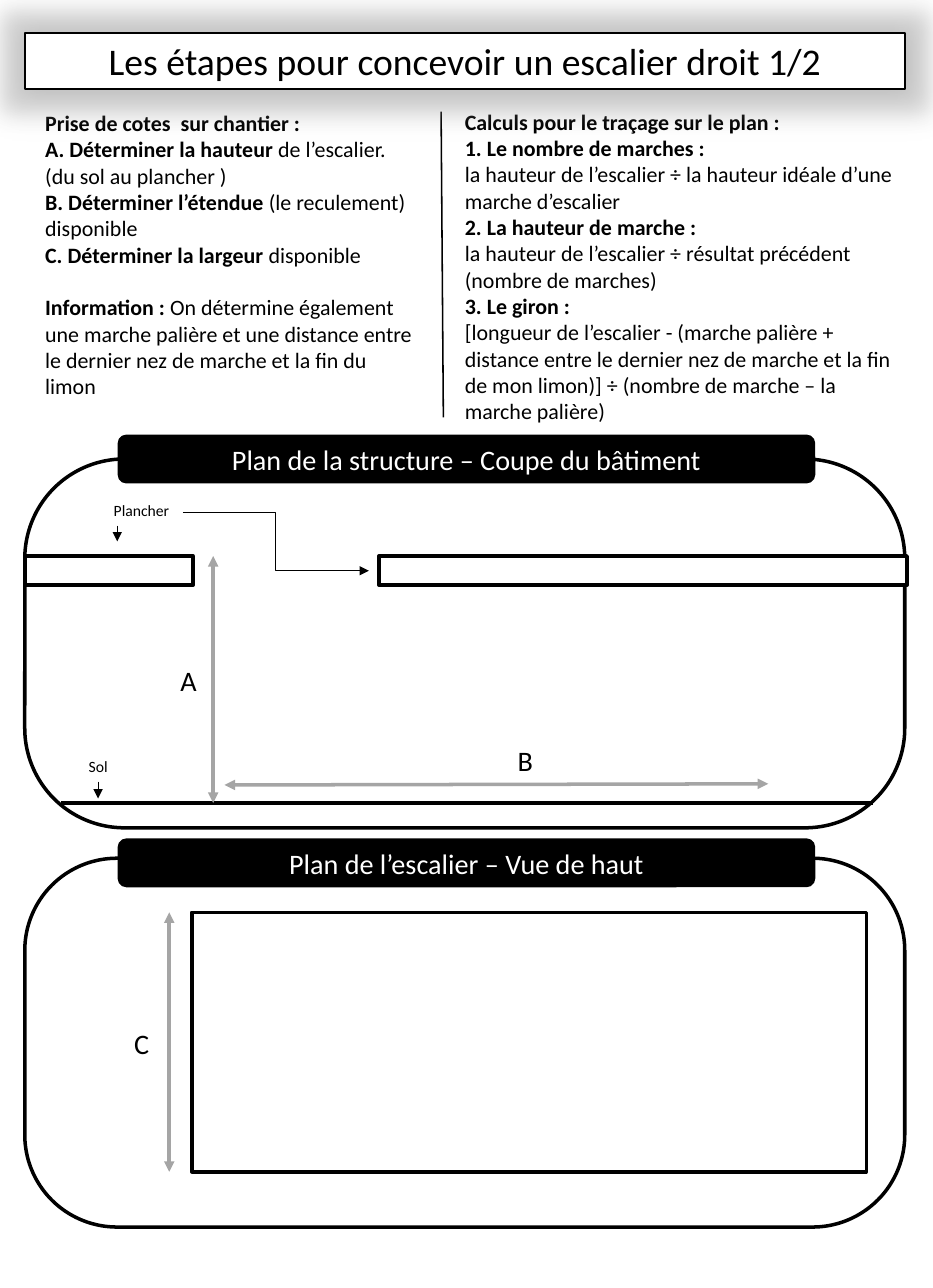
from dataclasses import dataclass

from lxml import etree
from pptx import Presentation
from pptx import util as u
from pptx.dml.color import RGBColor
from pptx.enum import shapes, text
from pptx.oxml import ns

COLORS = {"black": "000000", "white": "FFFFFF", "grey": "A5A5A5"}
FONT = "Calibri"

# Grid: square cells of a tenth of an inch
CELL = u.Inches(0.1)
COLS, ROWS = 82.7, 114.2
MARGIN, WIDTH = 2.2, 78
FLOOR_TOP, FLOOR_H, GROUND = 49.3, 2.6, 71.2
STAIR_TOP, STAIR_H = 80.9, 23


@dataclass
class Box:
    x: float
    y: float
    w: float
    h: float
    fill: str = "white"
    weight: float = 2.25
    radius: float | None = None
    label: str = ""


@dataclass
class Label:
    words: str
    x: float
    y: float
    w: float
    h: float
    size: int = 18
    align: text.PP_ALIGN = text.PP_ALIGN.LEFT


@dataclass
class Line:
    x1: float
    y1: float
    x2: float
    y2: float
    color: str = "black"
    weight: float = 2.25
    ends: tuple[str, ...] = ()
    kind: shapes.MSO_CONNECTOR = shapes.MSO_CONNECTOR.STRAIGHT


@dataclass
class Steps:
    x: float
    y: float
    w: float
    h: float
    lines: list[tuple[str, str]]  # bold part, regular part


BOTH = ("headEnd", "tailEnd")

STEPS = [
    Steps(3, 9.2, 35.2, 26.9, [
        ("Prise de cotes  sur chantier :", ""),
        ("A. Déterminer la hauteur ", "de l’escalier. (du sol au plancher )"),
        ("B. Déterminer l’étendue ", "(le reculement) disponible"),
        ("C. Déterminer la largeur ", "disponible"),
        ("Information : ", "On détermine également une marche palière et une distance "
                           "entre le dernier nez de marche et la fin du limon"),
    ]),
    Steps(40.2, 9.1, 40.6, 29.3, [
        ("Calculs pour le traçage sur le plan :", ""),
        ("1. Le nombre de marches :", ""),
        ("", "la hauteur de l’escalier ÷ la hauteur idéale d’une marche d’escalier"),
        ("2. La hauteur de marche :", ""),
        ("", "la hauteur de l’escalier ÷ résultat précédent (nombre de marches)"),
        ("3. Le giron :", ""),
        ("", "[longueur de l’escalier - (marche palière + distance entre le dernier nez de "
             "marche et la fin de mon limon)] ÷ (nombre de marche – la marche palière)"),
    ]),
]

BOXES = [
    # Panels and their headings
    Box(MARGIN, 40.7, WIDTH, 32.7, radius=0.27),
    Box(MARGIN, 76.1, WIDTH, 32.7, radius=0.25),
    Box(10.5, 38.6, 61.7, 4.2, "black", 1, 0.17, "Plan de la structure – Coupe du bâtiment"),
    Box(10.5, 74.4, 61.7, 4.2, "black", 1, 0.17, "Plan de l’escalier – Vue de haut"),
    # Stairwell, then the two floor slabs
    Box(17, STAIR_TOP, 59.8, STAIR_H),
    Box(33.6, FLOOR_TOP, 46.8, FLOOR_H),
    Box(MARGIN, FLOOR_TOP, 14.9, FLOOR_H),
]

LINES = [
    Line(5.4, GROUND, 77.4, GROUND),
    # Dimensions A, B and C
    Line(18.9, FLOOR_TOP, 18.9, GROUND, "grey", ends=BOTH),
    Line(19.9, 69.6, 68.1, 69.5, "grey", ends=BOTH),
    Line(15, STAIR_TOP, 15, STAIR_TOP + STAIR_H, "grey", ends=BOTH),
    # Pointers
    Line(10.4, 46.6, 10.4, 48, weight=0.5, ends=("tailEnd",)),
    Line(16.2, 45.4, 32.7, 50.6, weight=0.5, ends=("tailEnd",),
         kind=shapes.MSO_CONNECTOR.ELBOW),
    Line(8.7, 69.3, 8.7, 70.8, weight=0.5, ends=("tailEnd",)),
    # Divider between the two lists
    Line(39.1, 9.9, 39.3, 37, weight=1),
]

LABELS = [
    Label("A", 15, 58.3, 3.9, 4),
    Label("B", 44.9, 65.4, 3.9, 4),
    Label("C", 10.9, 90.5, 3.9, 4),
    Label("Sol", 6.2, 66.6, 5, 2.7, 10, text.PP_ALIGN.CENTER),
    Label("Plancher", 9.1, 43.9, 22.8, 2.7, 10),
]


def cells(*counts: float) -> list[int]:
    return [round(n * CELL) for n in counts]


def rgb(name: str) -> RGBColor:
    return RGBColor.from_string(COLORS[name])


def place(sp, x: float, y: float, w: float, h: float) -> None:
    for name, value in zip(("left", "top", "width", "height"), cells(x, y, w, h)):
        setattr(sp, name, value)


def paint(sp, fill: str, weight: float) -> None:
    sp.fill.solid()
    sp.fill.fore_color.rgb = rgb(fill)
    sp.line.color.rgb = rgb("black")
    sp.line.width = u.Pt(weight)


def add_run(p, words: str, size: int, bold: bool = False, color: str = "black") -> None:
    r = p.add_run()
    r.text = words
    for name, value in {"name": FONT, "size": u.Pt(size), "bold": bold}.items():
        setattr(r.font, name, value)
    r.font.color.rgb = rgb(color)


def set_frame(tf, anchor: text.MSO_ANCHOR) -> None:
    frame_format = {"word_wrap": True, "auto_size": text.MSO_AUTO_SIZE.NONE,
                    "vertical_anchor": anchor}
    for name, value in frame_format.items():
        setattr(tf, name, value)


def draw_steps(sp, steps: Steps) -> None:
    place(sp, steps.x, steps.y, steps.w, steps.h)
    tf = sp.text_frame
    set_frame(tf, text.MSO_ANCHOR.TOP)
    for i, (bold, regular) in enumerate(steps.lines):
        p = tf.add_paragraph() if i else tf.paragraphs[0]
        p.space_before = u.Pt(17 if bold.startswith("Information") else 0)
        pPr = p._p.get_or_add_pPr()
        pPr.set("marL", "0")
        pPr.set("indent", "0")
        etree.SubElement(pPr, ns.qn("a:buNone"))
        for words, is_bold in ((bold, True), (regular, False)):
            if words:
                add_run(p, words, 14, is_bold)


def draw_box(slide, box: Box) -> None:
    kind = shapes.MSO_SHAPE.ROUNDED_RECTANGLE if box.radius else shapes.MSO_SHAPE.RECTANGLE
    sp = slide.shapes.add_shape(kind, *cells(box.x, box.y, box.w, box.h))
    sp.shadow.inherit = False
    paint(sp, box.fill, box.weight)
    if box.radius:
        sp.adjustments[0] = box.radius
    if box.label:
        set_frame(sp.text_frame, text.MSO_ANCHOR.MIDDLE)
        p = sp.text_frame.paragraphs[0]
        p.alignment = text.PP_ALIGN.CENTER
        add_run(p, box.label, 18, color="white")


def draw_line(slide, line: Line) -> None:
    cx = slide.shapes.add_connector(line.kind, *cells(line.x1, line.y1, line.x2, line.y2))
    cx.line.color.rgb = rgb(line.color)
    cx.line.width = u.Pt(line.weight)
    for end in line.ends:
        etree.SubElement(cx.line._get_or_add_ln(), ns.qn(f"a:{end}"), type="triangle")
    etree.SubElement(cx._element.spPr, ns.qn("a:effectLst"))


def draw_label(slide, label: Label) -> None:
    sp = slide.shapes.add_textbox(*cells(label.x, label.y, label.w, label.h))
    set_frame(sp.text_frame, text.MSO_ANCHOR.TOP)
    p = sp.text_frame.paragraphs[0]
    p.alignment = label.align
    add_run(p, label.words, label.size)


def draw_title(slide, words: str) -> None:
    sp = slide.shapes.title
    place(sp, MARGIN, 2.9, WIDTH, 5)
    paint(sp, "white", 1)
    set_frame(sp.text_frame, text.MSO_ANCHOR.MIDDLE)
    add_run(sp.text_frame.paragraphs[0], words, 24)
    # Wide grey glow with a tighter shadow inside it
    effects = etree.SubElement(sp._element.spPr, ns.qn("a:effectLst"))
    glow = etree.SubElement(effects, ns.qn("a:glow"), rad=str(u.Inches(0.4)))
    shadow = etree.SubElement(effects, ns.qn("a:outerShdw"), blurRad=str(u.Inches(0.2)))
    for effect, color, alpha in ((glow, "grey", 40), (shadow, "black", 20)):
        clr = etree.SubElement(effect, ns.qn("a:srgbClr"), val=COLORS[color])
        etree.SubElement(clr, ns.qn("a:alpha"), val=str(alpha * 1000))
    slide.shapes._spTree.append(sp._element)  # in front of the lists


def main() -> None:
    prs = Presentation()
    prs.slide_width, prs.slide_height = cells(COLS, ROWS)
    slide = prs.slides.add_slide(prs.slide_layouts[3])
    for sp, steps in zip(list(slide.placeholders)[1:], STEPS):
        draw_steps(sp, steps)
    for draw, items in ((draw_box, BOXES), (draw_line, LINES), (draw_label, LABELS)):
        for item in items:
            draw(slide, item)
    draw_title(slide, "Les étapes pour concevoir un escalier droit 1/2")
    prs.save("out.pptx")


if __name__ == "__main__":
    main()
